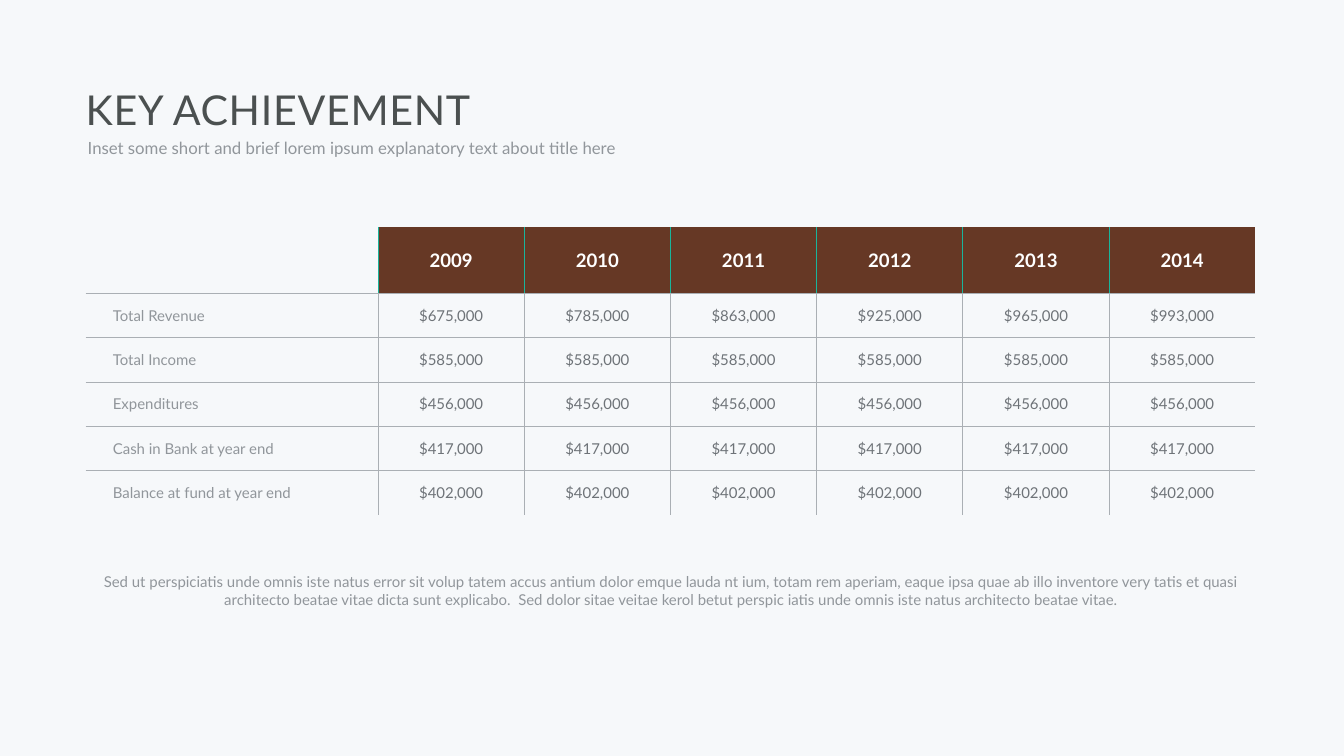
from lxml import etree
from pptx import Presentation
from pptx.dml.color import RGBColor
from pptx.enum.text import MSO_ANCHOR, MSO_AUTO_SIZE, PP_ALIGN
from pptx.oxml.ns import qn
from pptx.util import Inches, Pt

LEFT, MID = PP_ALIGN.LEFT, PP_ALIGN.CENTER
TOP, CENTER = MSO_ANCHOR.TOP, MSO_ANCHOR.MIDDLE
FIXED = MSO_AUTO_SIZE.NONE

PALE = RGBColor(0xF6, 0xF8, 0xFA)
DARK = RGBColor(0x4B, 0x50, 0x50)
GRAY = RGBColor(0x91, 0x96, 0x9B)
SLATE = RGBColor(0x6E, 0x73, 0x78)
WHITE = RGBColor(0xFF, 0xFF, 0xFF)
BROWN = RGBColor(0x66, 0x38, 0x25)
RULE = RGBColor(0xAA, 0xAF, 0xB4)
TEAL = RGBColor(0x19, 0xB4, 0x9B)

YEARS = ["", "2009", "2010", "2011", "2012", "2013", "2014"]
REVENUE = ["$675,000", "$785,000", "$863,000", "$925,000", "$965,000", "$993,000"]
ROWS = [
    YEARS,
    ["Total Revenue"] + REVENUE,
    ["Total Income"] + ["$585,000"] * 6,
    ["Expenditures"] + ["$456,000"] * 6,
    ["Cash in Bank at year end"] + ["$417,000"] * 6,
    ["Balance at fund at year end"] + ["$402,000"] * 6,
]
NOTE = (
    "Sed ut perspiciatis unde omnis iste natus error sit volup tatem accus antium "
    "dolor emque lauda nt ium, totam rem aperiam, eaque ipsa quae ab illo inventore "
    "very tatis et quasi architecto beatae vitae dicta sunt explicabo.  Sed dolor "
    "sitae veitae kerol betut perspic iatis unde omnis iste natus architecto beatae vitae."
)


class Deck:
    """Holds the font and the slide being built."""

    def __init__(self, font):
        self.font = font
        self.prs = Presentation()
        self.prs.slide_width, self.prs.slide_height = Inches(13.33), Inches(7.5)
        self.slide = self.prs.slides.add_slide(self.prs.slide_layouts[5])
        fill = self.slide.background.fill
        fill.solid()
        fill.fore_color.rgb = PALE

    def label(self, frame, text, size, color, align=LEFT, bold=False):
        """Sets one styled paragraph and returns it."""
        frame.text = text
        para = frame.paragraphs[0]
        para.alignment = align
        for run in para.runs:
            font = run.font
            font.name, font.size, font.bold = self.font, Pt(size), bold
            font.color.rgb = color
        return para

    def fit(self, frame):
        """Removes the insets and pins the text to the top of its box."""
        frame.margin_left = frame.margin_right = 0
        frame.margin_top = frame.margin_bottom = 0
        frame.word_wrap, frame.auto_size = True, FIXED
        frame.vertical_anchor = TOP

    def title(self, text, box, size, color):
        shape = self.slide.shapes.title
        shape.left, shape.top, shape.width, shape.height = map(Inches, box)
        self.fit(shape.text_frame)
        para = self.label(shape.text_frame, text, size, color)
        para.runs[0].font._element.set("spc", "50")

    def text(self, text, box, size, lead, align=LEFT):
        frame = self.slide.shapes.add_textbox(*map(Inches, box)).text_frame
        self.fit(frame)
        self.label(frame, text, size, GRAY, align).line_spacing = Pt(lead)

    def edge(self, cell, side, color):
        """Draws one side of a cell, or clears it when color is None."""
        props = cell._tc.get_or_add_tcPr()
        line = etree.SubElement(props, qn(f"a:ln{side}"), w=str(Pt(0.75)))
        if color is None:
            etree.SubElement(line, qn("a:noFill"))
        else:
            fill = etree.SubElement(line, qn("a:solidFill"))
            etree.SubElement(fill, qn("a:srgbClr"), val=str(color))

    def cell(self, cell, text, head, first):
        cell.margin_left = Inches(0.27) if first and not head else 0
        cell.margin_right = cell.margin_top = cell.margin_bottom = 0
        cell.vertical_anchor = CENTER
        if head:
            self.label(cell.text_frame, text, 13.3, WHITE, MID, True)
        elif first:
            self.label(cell.text_frame, text, 10.7, GRAY)
        else:
            self.label(cell.text_frame, text, 10.7, SLATE, MID)

    def table(self, rows, box, wides, highs):
        """Fills a grid that has inner rules and no outer frame."""
        shape = self.slide.shapes.add_table(len(rows), len(wides), *map(Inches, box))
        grid = shape.table
        grid.first_row = grid.horz_banding = False
        for col, wide in zip(grid.columns, wides):
            col.width = Inches(wide)
        for row, high in zip(grid.rows, highs):
            row.height = Inches(high)
        for r, row in enumerate(rows):
            side = RULE if r else TEAL
            for c, text in enumerate(row):
                cell = grid.cell(r, c)
                self.cell(cell, text, r == 0, c == 0)
                self.edge(cell, "L", side if c else None)
                self.edge(cell, "R", side if c < len(row) - 1 else None)
                self.edge(cell, "T", RULE if r else None)
                self.edge(cell, "B", RULE if r < len(rows) - 1 else None)
                if text and r == 0:
                    cell.fill.solid()
                    cell.fill.fore_color.rgb = BROWN
                else:
                    cell.fill.background()


def main():
    deck = Deck("Lato")
    deck.title("KEY ACHIEVEMENT", (0.85, 0.84, 11.6, 0.56), 29.4, DARK)
    deck.text(
        "Inset some short and brief lorem ipsum explanatory text about title here",
        (0.87, 1.4, 11.6, 0.21), 12, 12,
    )
    deck.table(ROWS, (0.85, 2.25, 11.6, 2.86), [2.9] + [1.45] * 6, [0.66] + [0.44] * 5)
    deck.text(NOTE, (0.87, 5.68, 11.58, 0.36), 10.7, 13, MID)
    deck.prs.save("out.pptx")


if __name__ == "__main__":
    main()
